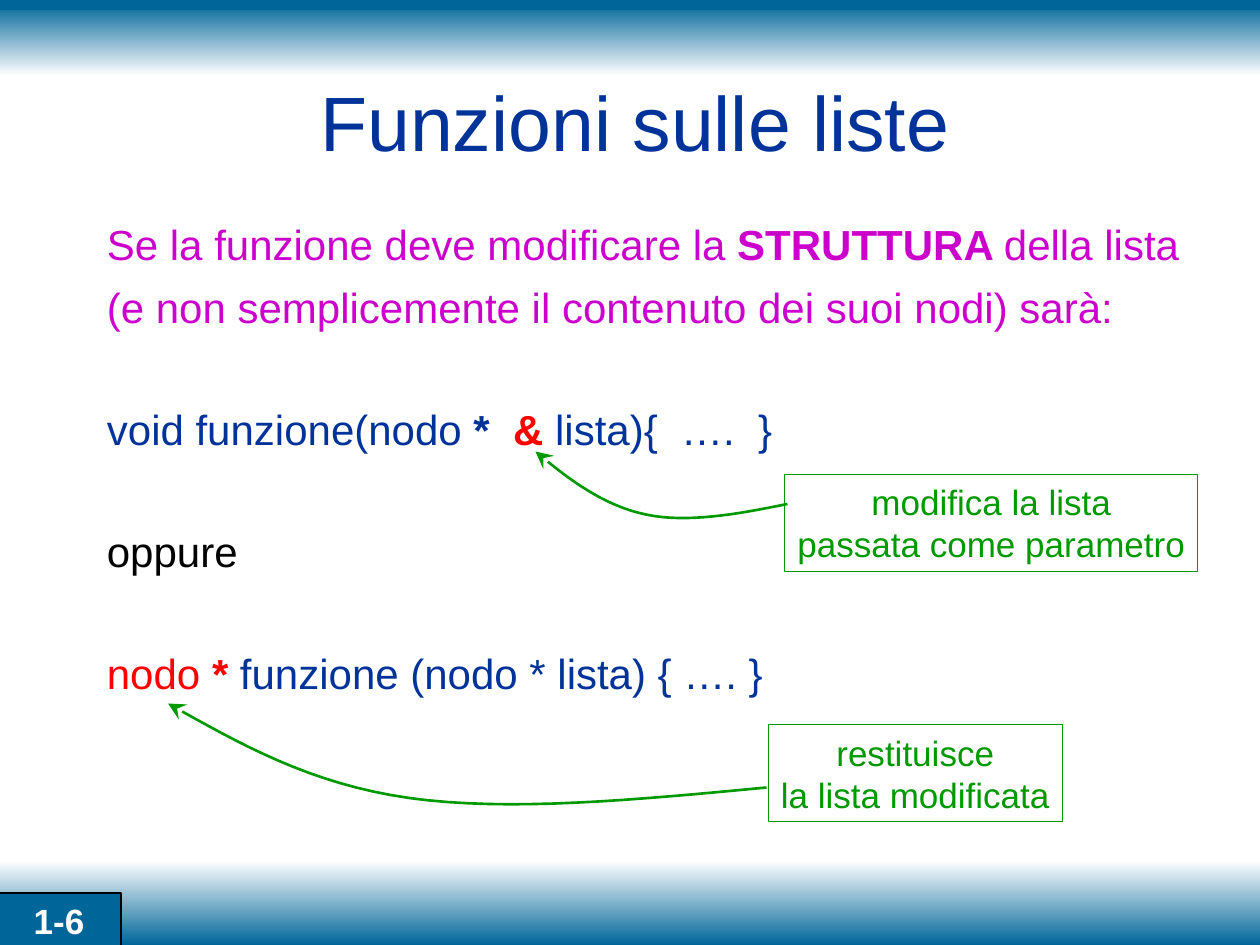
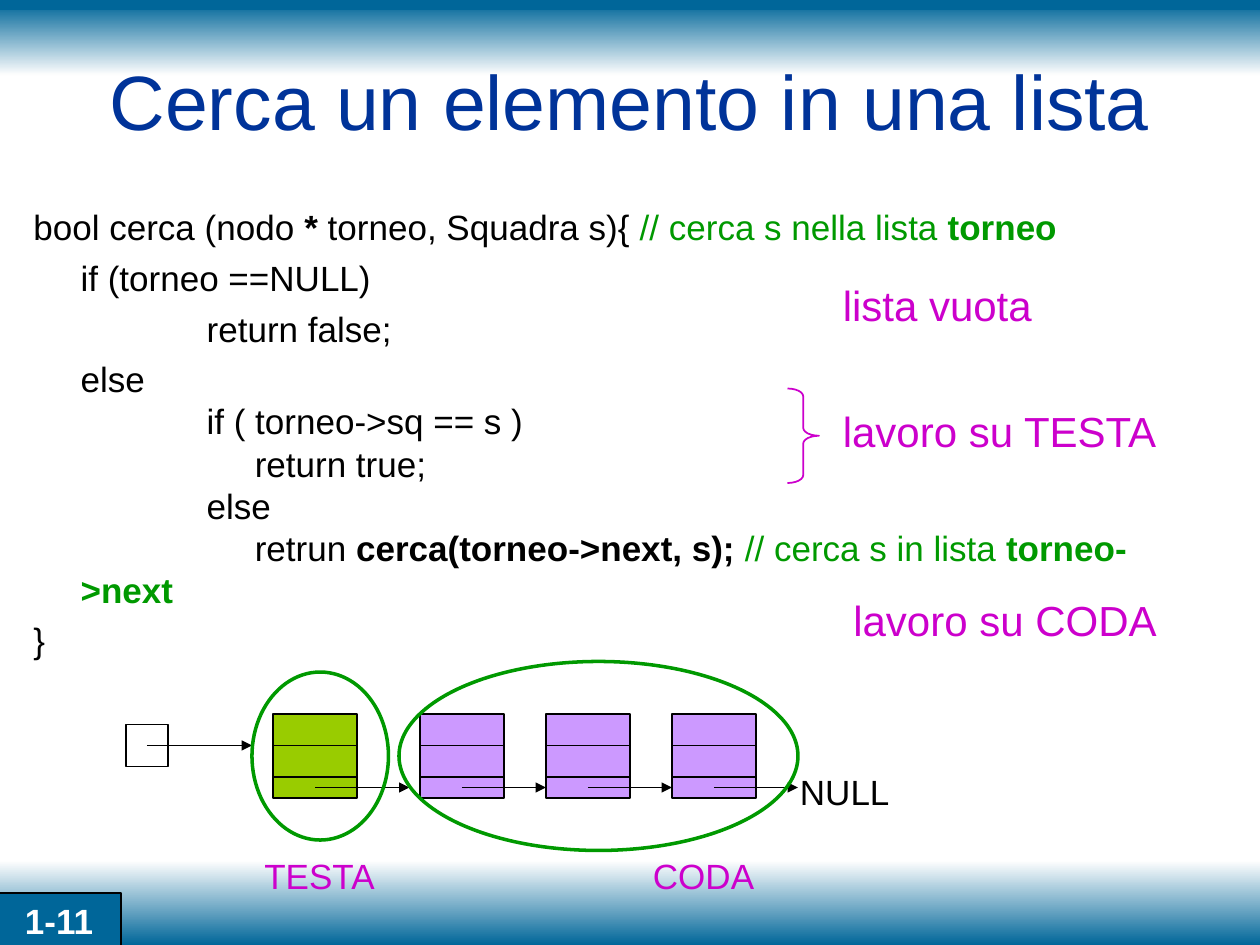
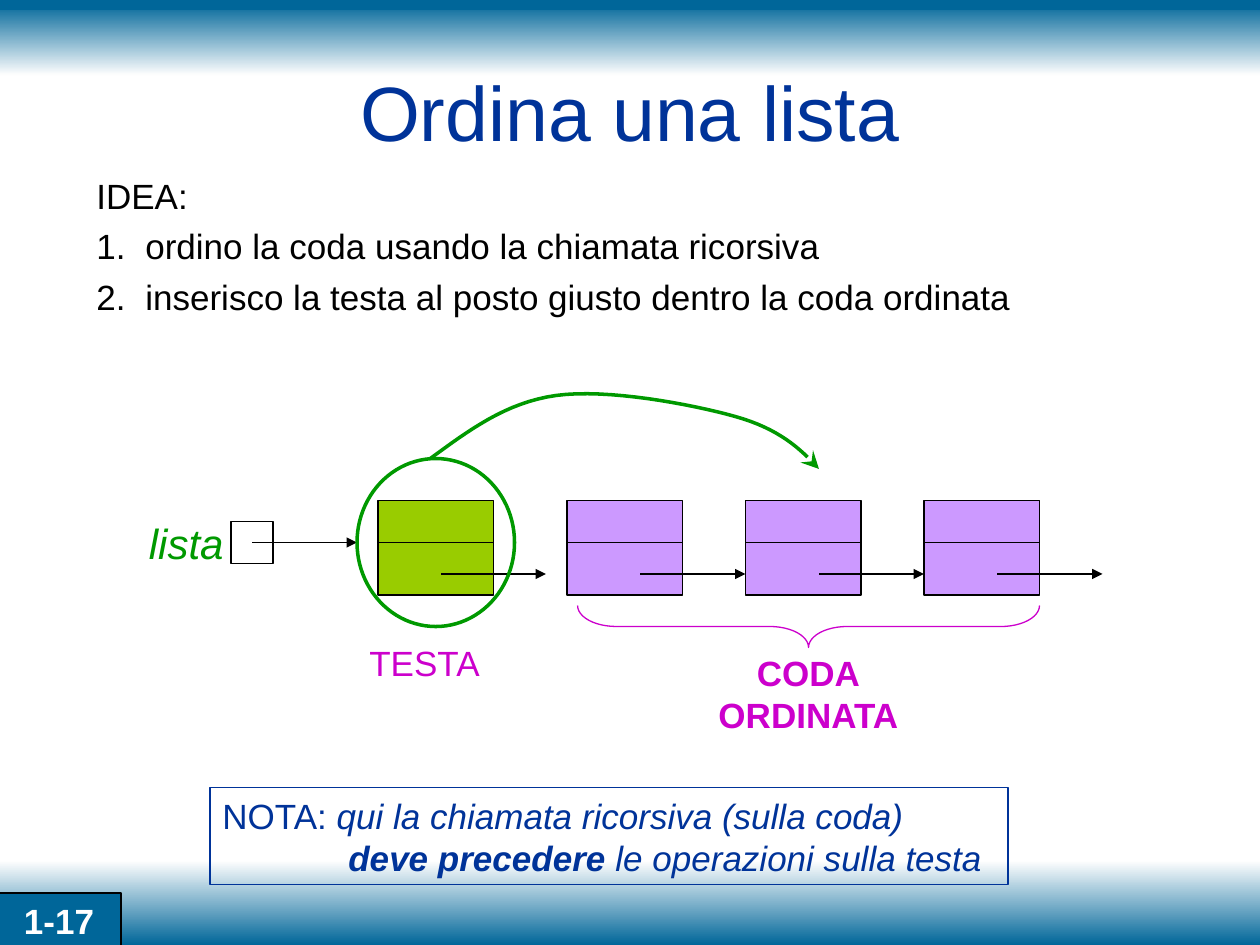
import lxml.etree
import pptx
import pptx.dml.color
import pptx.enum.dml
import pptx.enum.shapes
import pptx.enum.text
import pptx.oxml.ns
import pptx.util

Pt = pptx.util.Pt
PRESET = pptx.enum.shapes.MSO_SHAPE
ALIGN = pptx.enum.text.PP_ALIGN
FIT = pptx.enum.text.MSO_AUTO_SIZE
qn = pptx.oxml.ns.qn

FONT = "Arial"
BAND, PALE, WHITE, BLACK = "006699", "FEFEFE", "FFFFFF", "000000"
NAVY, MAGENTA, GREEN, RED = "003399", "CC00CC", "009900", "FF0000"
HEAD_FILL, TAIL_FILL = "99CC00", "CC99FF"
BOLD, ITALIC = {"bold": True}, {"italic": True}


def rgb(color):
    return pptx.dml.color.RGBColor.from_string(color)


def box(left, top, width, height):
    return Pt(left), Pt(top), Pt(width), Pt(height)


# Text

def write(paragraph, runs, size, color, **layout):
    """Fill a paragraph; a run is a string or (string, font values)."""
    for name, value in layout.items():
        setattr(paragraph, name, value)
    for item in [runs] if isinstance(runs, str) else runs:
        text, changes = (item, {}) if isinstance(item, str) else item
        values = {"name": FONT, "size": Pt(size), "color": color, **changes}
        run = paragraph.add_run()
        run.text = text
        run.font.color.rgb = rgb(values.pop("color"))
        for name, value in values.items():
            setattr(run.font, name, value)


def write_lines(frame, lines, size, color, **layout):
    """Write one paragraph per line and return the paragraphs."""
    for number, runs in enumerate(lines):
        paragraph = frame.add_paragraph() if number else frame.paragraphs[0]
        write(paragraph, runs, size, color, **layout)
    return frame.paragraphs


def indent(paragraph, margin, first):
    properties = paragraph._p.get_or_add_pPr()
    properties.set("marL", str(Pt(margin)))
    properties.set("indent", str(Pt(first)))
    return properties


def add_text(slide, place, lines, size, color, **layout):
    frame = slide.shapes.add_textbox(*box(*place)).text_frame
    frame.word_wrap = True
    return write_lines(frame, lines, size, color, **layout)


# Shapes and lines

def outline(shape, color, width):
    shape.line.color.rgb = rgb(color)
    shape.line.width = Pt(width)


def add_preset(slide, preset, place, fill=None, line=None, width=0.75):
    shape = slide.shapes.add_shape(preset, *box(*place))
    shape.shadow.inherit = False
    if fill:
        shape.fill.solid()
        shape.fill.fore_color.rgb = rgb(fill)
    else:
        shape.fill.background()
    if line:
        outline(shape, line, width)
    else:
        shape.line.fill.background()
    return shape


def add_brace(slide, place, curl, width, rotation=0):
    brace = add_preset(slide, PRESET.RIGHT_BRACE, place, None, MAGENTA, width)
    brace.adjustments[0] = curl
    brace.rotation = rotation


def add_framed_text(slide, place, lines, color, wrap, **layout):
    frame = add_preset(slide, PRESET.RECTANGLE, place, None, color).text_frame
    frame.word_wrap = wrap
    return write_lines(frame, lines, 20, color, **layout)


def add_arrowhead(shape, kind, size="med"):
    line = shape.element.spPr.get_or_add_ln()
    lxml.etree.SubElement(line, qn("a:tailEnd"), type=kind, w=size, len=size)


def add_line(slide, x1, y1, x2, y2, color=BLACK, width=0.75, arrow=False):
    line = slide.shapes.add_connector(
        pptx.enum.shapes.MSO_CONNECTOR.STRAIGHT, Pt(x1), Pt(y1), Pt(x2), Pt(y2))
    outline(line, color, width)
    if arrow:
        add_arrowhead(line, "triangle")
    lxml.etree.SubElement(line.element.spPr, qn("a:effectLst"))
    return line


def bezier(p0, p1, p2, p3, steps=16):
    for step in range(1, steps + 1):
        t = step / steps
        s = 1 - t
        yield tuple(Pt(s**3 * a + 3 * s * s * t * b + 3 * s * t * t * c + t**3 * d)
                    for a, b, c, d in zip(p0, p1, p2, p3))


def add_curved_arrow(slide, points, width):
    """Draw chained cubic curves: a start, then three points per curve."""
    start = points[0]
    builder = slide.shapes.build_freeform(Pt(start[0]), Pt(start[1]))
    for first in range(0, len(points) - 1, 3):
        builder.add_line_segments(bezier(*points[first:first + 4]), close=False)
    curve = builder.convert_to_shape()
    curve.shadow.inherit = False
    curve.fill.background()
    outline(curve, GREEN, width)
    add_arrowhead(curve, "stealth", "lg")


# Parts shared by the slides

def add_band(slide, top, height, start, end):
    band = add_preset(slide, PRESET.RECTANGLE, (0, top, 720, height))
    band.fill.gradient()
    band.fill.gradient_angle = 270
    for stop, color, position in zip(band.fill.gradient_stops, (start, end), (0, 1)):
        stop.color.rgb = rgb(color)
        stop.position = position
    return band


def move_bands_to_layout(slide):
    """Draw the bands and hand them to the layout, so every slide shows them."""
    parts = (add_band(slide, 1.5, 41.5, BAND, PALE),
             add_band(slide, 492, 48, PALE, BAND),
             add_line(slide, 0, 3, 720, 3, BAND, 6))
    for part in parts:
        slide.slide_layout.shapes.element.append(part.element)


def start_slide(deck, title, place, page):
    slide = deck.slides.add_slide(deck.slide_layouts[5])
    if len(deck.slides) == 1:
        move_bands_to_layout(slide)
    heading = slide.shapes.title
    for name, value in zip(("left", "top", "width", "height"), box(*place)):
        setattr(heading, name, value)
    frame = heading.text_frame
    frame.auto_size = FIT.NONE
    frame.vertical_anchor = pptx.enum.text.MSO_ANCHOR.MIDDLE
    write(frame.paragraphs[0], title, 44, NAVY, alignment=ALIGN.CENTER)
    badge = add_preset(slide, PRESET.RECTANGLE, (-1.5, 510.5, 70.5, 31.5), BAND, BLACK, 1)
    write(badge.text_frame.paragraphs[0], [(page, BOLD)], 20, WHITE,
          alignment=ALIGN.CENTER)
    return slide


def add_pointer_cell(slide, left, top, arrow_y, arrow_end):
    add_preset(slide, PRESET.RECTANGLE, (left, top, 24, 24), None, BLACK)
    add_line(slide, left + 12, arrow_y, arrow_end, arrow_y, arrow=True)


def add_node(slide, place, fill, dividers, pointer):
    """Draw a list node; dividers are offsets, pointer is (start x, end x, offset)."""
    left, top, width, _ = place
    add_preset(slide, PRESET.RECTANGLE, place, fill, BLACK)
    for offset in dividers:
        add_line(slide, left, top + offset, left + width, top + offset)
    start, end, offset = pointer
    add_line(slide, start, top + offset, end, top + offset, arrow=True)


# Slides

def build_functions(deck):
    slide = start_slide(deck, "Funzioni sulle liste", (24, 24, 678, 90), "1-6")
    red_bold = {"color": RED, **BOLD}
    lines = [
        ["Se la funzione deve modificare la ", ("STRUTTURA ", BOLD),
         "della lista (e non semplicemente il contenuto dei suoi nodi) sarà:"],
        [("void funzione(nodo ", {"color": NAVY}), ("*  ", {"color": NAVY, **BOLD}),
         ("&", red_bold), (" lista){  ….  }", {"color": NAVY})],
        [("oppure", {"color": BLACK})],
        [("nodo ", {"color": RED}), ("*", red_bold),
         (" funzione (nodo * lista) { …. }", {"color": NAVY})],
    ]
    intro, *_ = add_text(slide, (54, 114, 636, 378), lines, 24, MAGENTA,
                         space_before=Pt(41))
    intro.space_before = Pt(6)
    intro.line_spacing = 1.25

    for place, lines in (
            ((448.5, 271, 236, 55.5), ["modifica la lista", "passata come parametro"]),
            ((439, 414, 168, 55.5), ["restituisce", "la lista modificata"])):
        add_framed_text(slide, place, lines, GREEN, False, alignment=ALIGN.CENTER)
    add_curved_arrow(slide, [(450, 288), (421, 294), (392, 299), (369, 294),
                             (345, 289), (325, 274), (306, 258)], 1.5)
    add_curved_arrow(slide, [(438, 450), (364, 457), (291, 464), (234, 456),
                             (177, 448), (137, 425), (96, 402)], 1.5)


def build_search(deck):
    slide = start_slide(deck, "Cerca un elemento in una lista", (54, 12, 612, 90), "1-11")
    comment, comment_bold = {"color": GREEN}, {"color": GREEN, **BOLD}
    code = [  # first-line position, space before, runs
        (0, 5, ["bool cerca (nodo ", ("*", BOLD), " torneo, Squadra s){ ",
                ("// cerca s nella lista ", comment), ("torneo", comment_bold)]),
        (27, 5, "if (torneo ==NULL)"),
        (99, 5, "return false;"),
        (27, 5, "else"),
        (99, 0, "if ( torneo->sq == s )"),
        (126.5, 0, "return true;"),
        (99, 0, "else"),
        (126.5, 0, ["retrun ", ("cerca(torneo->next, s);", BOLD),
                    (" // cerca s in lista ", comment), ("torneo->next", comment_bold)]),
        (0, 5, "}"),
    ]
    paragraphs = add_text(slide, (12, 114, 672, 348), [runs for _, _, runs in code],
                          20, BLACK)
    for paragraph, (position, gap, _) in zip(paragraphs, code):
        paragraph.space_before = Pt(gap)
        indent(paragraph, 27, position - 27)

    for left, top, width, text in ((474.5, 156, 132, "lista vuota"),
                                   (474.5, 228, 206, "lavoro su TESTA"),
                                   (480.5, 336, 198, "lavoro su CODA")):
        add_text(slide, (left, top, width, 36), [text], 24, MAGENTA)
    add_brace(slide, (450, 222, 18, 54), 0.25, 1)

    add_pointer_cell(slide, 72, 414, 426, 144)
    for left, end, fill in ((156, 234, HEAD_FILL), (240, 312, TAIL_FILL),
                            (312, 384, TAIL_FILL), (384, 456, TAIL_FILL)):
        add_node(slide, (left, 408, 48, 48), fill, (18, 36), (left + 24, end, 42))
    for left, top, width, text, color in ((450, 437, 76, "NULL", BLACK),
                                          (144, 485, 88, "TESTA", MAGENTA),
                                          (366, 485, 82, "CODA", MAGENTA)):
        add_text(slide, (left, top, width, 31.5), [text], 20, color)
    for place in ((144, 384, 78, 96), (228, 378, 228, 108)):
        add_preset(slide, PRESET.OVAL, place, None, GREEN, 2)


def build_sort(deck):
    slide = start_slide(deck, "Ordina una lista", (54, 18, 612, 90), "1-17")
    lines = ["IDEA:", "ordino la coda usando la chiamata ricorsiva",
             "inserisco la testa al posto giusto dentro la coda ordinata"]
    _, *steps = add_text(slide, (48, 96, 642, 372), lines, 20, BLACK, space_before=Pt(5))
    for step in steps:
        lxml.etree.SubElement(indent(step, 28, -28), qn("a:buAutoNum"),
                              type="arabicPeriod")

    add_pointer_cell(slide, 132, 298, 310, 204)
    for left, start, end, fill in ((216, 252, 312, HEAD_FILL), (324, 366, 426, TAIL_FILL),
                                   (426, 468, 528, TAIL_FILL), (528, 570, 630, TAIL_FILL)):
        add_node(slide, (left, 286, 66, 54), fill, (24,), (start, end, 42))
    add_text(slide, (78, 292, 66, 36), [[("lista", ITALIC)]], 24, GREEN)
    add_text(slide, (204, 363, 88, 31.5), ["TESTA"], 20, MAGENTA)
    add_text(slide, (393, 368.5, 138, 55.5), [[("CODA", BOLD)], [("ORDINATA", BOLD)]],
             20, MAGENTA, alignment=ALIGN.CENTER)
    add_brace(slide, (450, 226, 24, 264), 0.92, 0.75, rotation=90)
    add_preset(slide, PRESET.OVAL, (204, 262, 90, 96), None, GREEN, 2)
    add_curved_arrow(slide, [(246, 262), (268, 246), (289, 230), (318, 226),
                             (347, 222), (395, 231), (420, 238),
                             (445, 245), (457, 256), (468, 268)], 2)

    note = [["NOTA: ", ("qui la chiamata ricorsiva (sulla coda)", ITALIC)],
            [("deve precedere", {**BOLD, **ITALIC}),
             (" le operazioni sulla testa", ITALIC)]]
    _, second = add_framed_text(slide, (120, 450, 456, 55.5), note, NAVY, True,
                                alignment=ALIGN.LEFT)
    indent(second, 72, 0)


def main():
    deck = pptx.Presentation()
    deck.slide_width, deck.slide_height = Pt(720), Pt(540)
    build_functions(deck)
    build_search(deck)
    build_sort(deck)
    deck.save("out.pptx")


if __name__ == "__main__":
    main()
